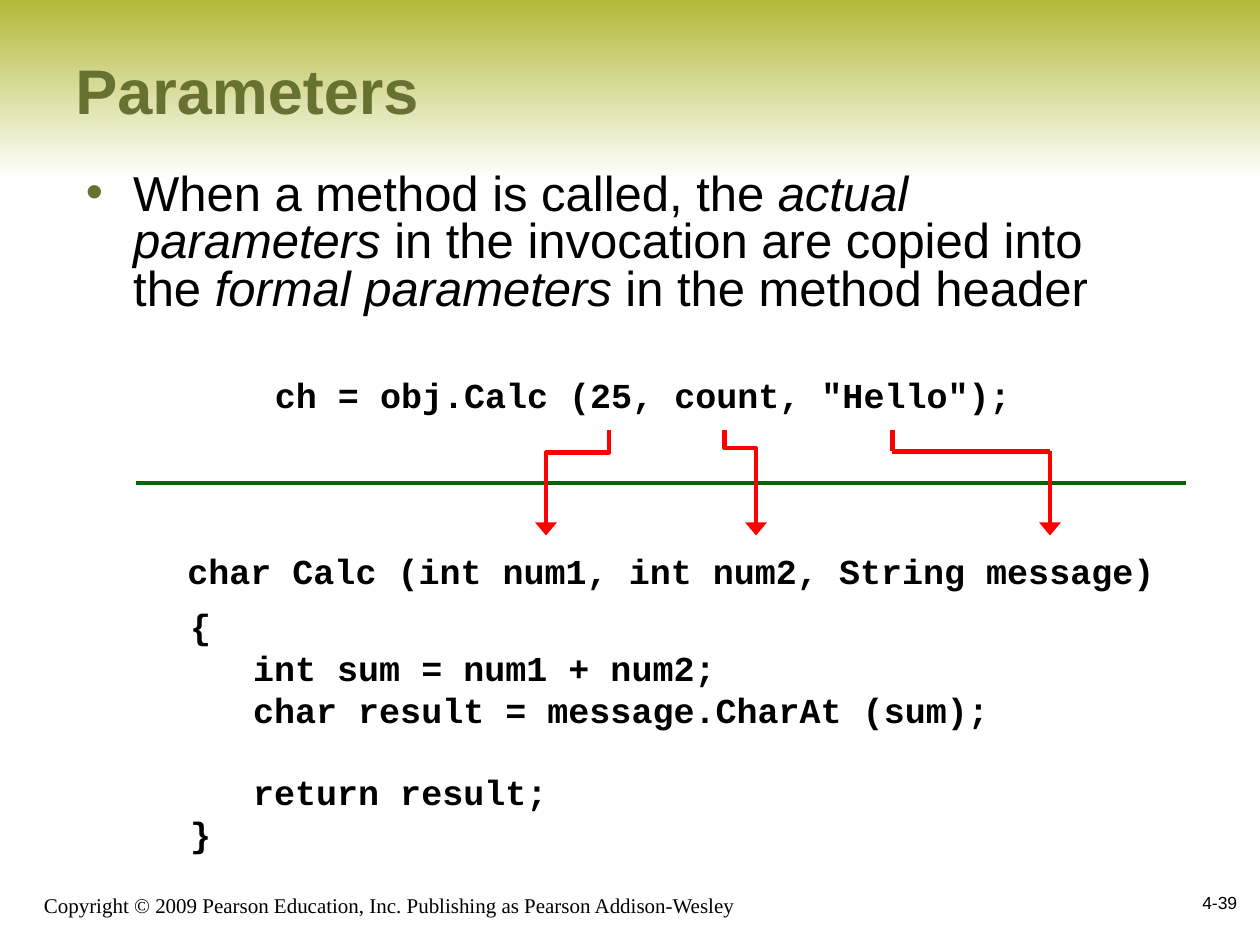
from lxml import etree
from pptx import Presentation
from pptx.dml.color import RGBColor
from pptx.enum.shapes import MSO_CONNECTOR, MSO_SHAPE
from pptx.enum.text import MSO_ANCHOR, PP_ALIGN
from pptx.oxml.ns import qn
from pptx.util import Pt

STRAIGHT, ELBOW = MSO_CONNECTOR.STRAIGHT, MSO_CONNECTOR.ELBOW
RECTANGLE = MSO_SHAPE.RECTANGLE
TOP, MIDDLE, BOTTOM = MSO_ANCHOR.TOP, MSO_ANCHOR.MIDDLE, MSO_ANCHOR.BOTTOM
LEFT, RIGHT = PP_ALIGN.LEFT, PP_ALIGN.RIGHT

WIDTH, HEIGHT = 720, 540
COLORS = {
    "band": "B2B938",
    "white": "FFFFFF",
    "olive": "677132",
    "black": "000000",
    "divider": "006600",
    "arrow": "FF0000",
}
CODE = {"font": "Courier New", "size": 20, "bold": True}
CODE_LINE = 22.66


def rgb(name):
    return RGBColor.from_string(COLORS[name])


def add_bullet(paragraph, color, indent):
    properties = paragraph._p.get_or_add_pPr()
    properties.set("marL", str(Pt(indent)))
    properties.set("indent", str(-Pt(indent)))
    bullet_color = etree.SubElement(properties, qn("a:buClr"))
    etree.SubElement(bullet_color, qn("a:srgbClr"), val=COLORS[color])
    etree.SubElement(properties, qn("a:buFont"), typeface="Arial")
    etree.SubElement(properties, qn("a:buChar"), char="•")


def add_text(slide, box, paragraphs, *, font="Arial", size=20, color="black", bold=False,
             align=LEFT, anchor=TOP, line_spacing=None, bullet=None, gaps=None):
    """Each paragraph is a list of (text, italic) runs; gaps maps its index to space before."""
    shape = slide.shapes.add_textbox(*(Pt(value) for value in box))
    frame = shape.text_frame
    frame.word_wrap = True
    frame.vertical_anchor = anchor
    for index, runs in enumerate(paragraphs):
        paragraph = frame.paragraphs[0] if index == 0 else frame.add_paragraph()
        paragraph.alignment = align
        if line_spacing:
            paragraph.line_spacing = line_spacing
        if gaps and index in gaps:
            paragraph.space_before = Pt(gaps[index])
        if bullet:
            add_bullet(paragraph, bullet, 27)
        for text, italic in runs:
            run = paragraph.add_run()
            run.text = text
            run.font.name = font
            run.font.size = Pt(size)
            run.font.bold = bold
            run.font.italic = italic
            run.font.color.rgb = rgb(color)


def add_line(slide, start, end, color="arrow", kind=STRAIGHT, arrowhead=False):
    connector = slide.shapes.add_connector(kind, *(Pt(value) for value in (*start, *end)))
    connector.line.color.rgb = rgb(color)
    connector.line.width = Pt(2.5)
    if arrowhead:
        outline = connector._element.spPr.find(qn("a:ln"))
        etree.SubElement(outline, qn("a:tailEnd"), type="triangle", w="lg", len="med")
    etree.SubElement(connector._element.spPr, qn("a:effectLst"))
    return connector


def add_elbow_arrow(slide, start, end, bend):
    """Leave start downwards, turn after the fraction bend, and arrive at end downwards."""
    (x1, y1), (x2, y2) = start, end
    middle_x, middle_y = (x1 + x2) / 2, (y1 + y2) / 2
    half_width, half_height = (y2 - y1) / 2, abs(x2 - x1) / 2
    rightward = x2 > x1
    side = -1 if rightward else 1
    connector = add_line(
        slide,
        (middle_x - side * half_width, middle_y - half_height),
        (middle_x + side * half_width, middle_y + half_height),
        kind=ELBOW, arrowhead=True)
    properties = connector._element.spPr
    properties.find(qn("a:xfrm")).set("rot", str((270 if rightward else 90) * 60000))
    geometry = properties.find(qn("a:prstGeom"))
    adjustments = geometry.find(qn("a:avLst"))
    if adjustments is None:
        adjustments = etree.SubElement(geometry, qn("a:avLst"))
    etree.SubElement(adjustments, qn("a:gd"), name="adj1", fmla=f"val {round(bend * 100000)}")


def add_header(slide, left, top, width, height):
    band = slide.shapes.add_shape(RECTANGLE, Pt(left), Pt(top), Pt(width), Pt(height))
    band.shadow.inherit = False
    band.line.fill.background()
    band.fill.gradient()
    band.fill.gradient_angle = 270
    for stop, color, position in zip(band.fill.gradient_stops, ("band", "white"), (0, 1)):
        stop.color.rgb = rgb(color)
        stop.position = position
    add_text(slide, (left + 36, top + 6, 654, 90), [[("Parameters", False)]],
             size=36, color="olive", bold=True, anchor=MIDDLE)


def add_explanation(slide, left, top, width, height):
    runs = [
        ("When a method is called, the ", False),
        ("actual parameters", True),
        (" in the invocation are copied into the ", False),
        ("formal parameters", True),
        (" in the method header", False),
    ]
    add_text(slide, (left, top, width, height), [runs],
             size=28, line_spacing=0.8, bullet="olive")


def add_code(slide, left, top):
    """Place the call above the method that receives its parameters."""
    add_text(slide, (left + 50, top, 444, 31.5),
             [[('ch = obj.Calc (25, count, "Hello");', False)]], **CODE)
    add_text(slide, (left, top + 100.5, 576, 31.5),
             [[("char Calc (int num1, int num2, String message)", False)]], **CODE)
    body = [
        "{",
        "   int sum = num1 + num2;",
        "   char result = message.CharAt (sum);",
        "   return result;",
        "}",
    ]
    add_text(slide, (left + 1.5, top + 132, 480, 151.5),
             [[(line, False)] for line in body], gaps={3: CODE_LINE}, **CODE)


def add_mapping(slide, left, top, width, height):
    """Draw the divider and the arrows from actual to formal parameters."""
    bottom = top + height
    add_line(slide, (left, top + height / 2), (left + width, top + height / 2), "divider")
    add_elbow_arrow(slide, (left + 270, top), (left + 234, bottom), 0.21)
    add_elbow_arrow(slide, (left + 336, top), (left + 354, bottom), 0.17)
    source, target, turn = left + 432, left + 522, top + 12
    add_line(slide, (source, top), (source, turn))
    add_line(slide, (target, turn), (source, turn))
    add_line(slide, (target, turn), (target, bottom), arrowhead=True)


def add_footer(slide, left, top, width):
    copyright_line = ("Copyright © 2009 Pearson Education, Inc. "
                      "Publishing as Pearson Addison-Wesley")
    add_text(slide, (left, top, 438, 30), [[(copyright_line, False)]],
             font="Times New Roman", size=12, anchor=BOTTOM)
    add_text(slide, (left + width - 150, top, 150, 36), [[("4-39", False)]],
             size=10, align=RIGHT, anchor=MIDDLE)


def main():
    presentation = Presentation()
    presentation.slide_width, presentation.slide_height = Pt(WIDTH), Pt(HEIGHT)
    slide = presentation.slides.add_slide(presentation.slide_layouts[6])
    add_header(slide, 0, 0, WIDTH, 102)
    add_footer(slide, 18, 498, 696)
    add_explanation(slide, 42, 96, 624, 96)
    add_code(slide, 100, 210)
    add_mapping(slide, 78, 246, 600, 60)
    presentation.save("out.pptx")


if __name__ == "__main__":
    main()
